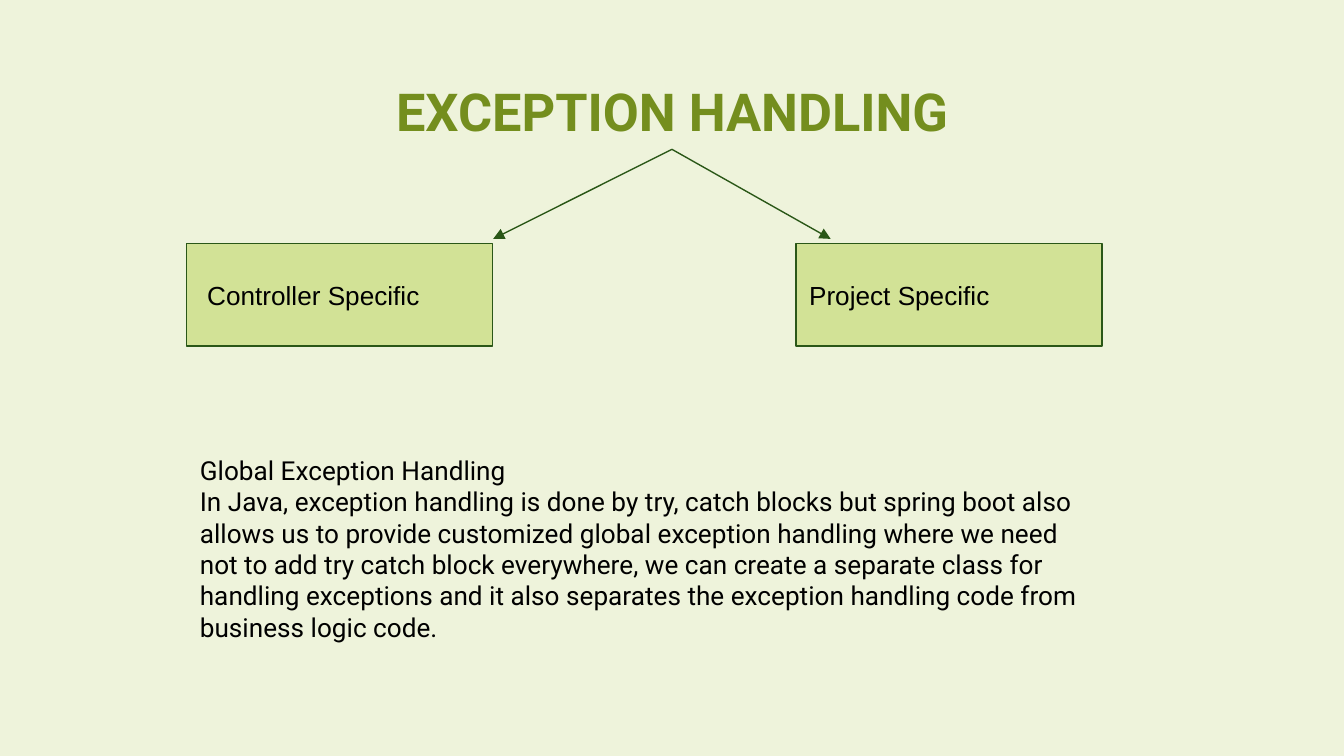
from lxml import etree
from pptx import Presentation
from pptx import util as u
from pptx.dml.color import RGBColor
from pptx.enum import shapes, text
from pptx.oxml.ns import qn

COLOURS = {
    "background": "EEF3DB",
    "title": "748E1E",
    "box": "D2E296",
    "outline": "2A5717",
    "body": "000000",
}


def colour(name):
    return RGBColor.from_string(COLOURS[name])


class Diagram:
    """Holds the style and the slide being built."""

    inset = 7.2
    line_width = 0.75
    body_size = 14

    def __init__(self, slide):
        self.slide = slide
        slide.background.fill.solid()
        slide.background.fill.fore_color.rgb = colour("background")

    def set_text(self, shape, lines, size, font, ink, bold=False,
                 align=text.PP_ALIGN.LEFT, anchor=text.MSO_ANCHOR.TOP):
        frame = shape.text_frame
        frame.text = "\n".join(lines)
        frame.word_wrap = True
        frame.vertical_anchor = anchor
        frame.margin_left = frame.margin_right = u.Pt(self.inset)
        frame.margin_top = frame.margin_bottom = u.Pt(self.inset)
        for paragraph in frame.paragraphs:
            paragraph.alignment = align
            for run in paragraph.runs:
                run.font.size = u.Pt(size)
                run.font.name = font
                run.font.bold = bold
                run.font.color.rgb = colour(ink)

    def label(self, bounds, lines, size, ink, **style):
        label = self.slide.shapes.add_textbox(*map(u.Pt, bounds))
        self.set_text(label, lines, size, "Roboto", ink, **style)
        return label

    def box(self, bounds, caption):
        box = self.slide.shapes.add_shape(
            shapes.MSO_SHAPE.RECTANGLE, *map(u.Pt, bounds))
        box.shadow.inherit = False
        box.fill.solid()
        box.fill.fore_color.rgb = colour("box")
        box.line.color.rgb = colour("outline")
        box.line.width = u.Pt(self.line_width)
        self.set_text(box, [caption], self.body_size, "Arial", "body",
                      anchor=text.MSO_ANCHOR.MIDDLE)

    def arrow(self, start, end, source):
        arrow = self.slide.shapes.add_connector(
            shapes.MSO_CONNECTOR.STRAIGHT, *map(u.Pt, start + end))
        arrow.begin_connect(source, 2)
        arrow.line.color.rgb = colour("outline")
        arrow.line.width = u.Pt(self.line_width)
        outline = arrow._element.spPr.find(qn("a:ln"))
        etree.SubElement(outline, qn("a:tailEnd"), type="triangle")
        etree.SubElement(arrow._element.spPr, qn("a:effectLst"))


def main():
    deck = Presentation()
    deck.slide_width, deck.slide_height = u.Pt(720), u.Pt(405)
    diagram = Diagram(deck.slides.add_slide(deck.slide_layouts[6]))

    # Title
    title_left, title_top, title_width, title_height = 56.6, 35, 606.8, 45
    title = diagram.label(
        (title_left, title_top, title_width, title_height),
        ["EXCEPTION HANDLING"], 28, "title", bold=True,
        align=text.PP_ALIGN.CENTER)

    # Two kinds of handling, each reached by an arrow from the title
    left, right, box_top, box_width, box_height = 100, 590.4, 130.4, 164, 55
    fork = (title_left + title_width / 2, title_top + title_height)
    kinds = [
        (" Controller Specific", left, 264.2),
        ("Project Specific", right - box_width, 445),
    ]
    for caption, box_left, _ in kinds:
        diagram.box((box_left, box_top, box_width, box_height), caption)

    # Explanation, as wide as the row of boxes
    explanation = diagram.label((left, 236.2, right - left, 116.6), [
        "Global Exception Handling",
        "In Java, exception handling is done by try, catch blocks but spring "
        "boot also allows us to provide customized global exception handling "
        "where we need not to add try catch block everywhere, we can create a "
        "separate class for handling exceptions and it also separates the "
        "exception handling code from business logic code.",
    ], diagram.body_size, "body")
    explanation.text_frame.auto_size = text.MSO_AUTO_SIZE.SHAPE_TO_FIT_TEXT

    # Arrows
    for _, _, tip in kinds:
        diagram.arrow(fork, (tip, 128), title)

    deck.save("out.pptx")


if __name__ == "__main__":
    main()
